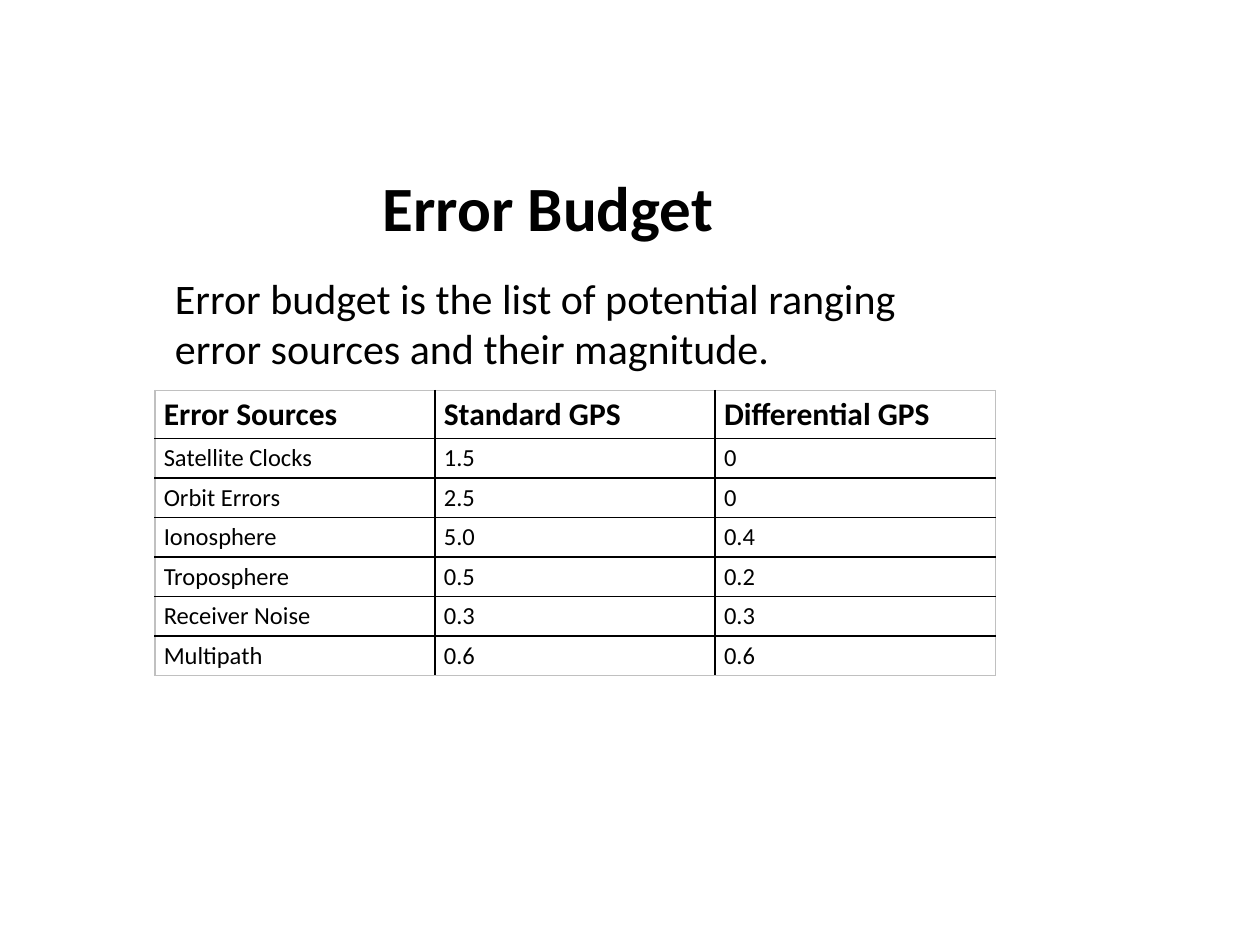
from lxml import etree
from pptx import Presentation
from pptx.dml.color import RGBColor
from pptx.enum import text
from pptx.oxml import ns
from pptx.util import Inches, Pt

BLACK = RGBColor(0, 0, 0)
GREY = RGBColor(0xC0, 0xC0, 0xC0)
WHITE = RGBColor(255, 255, 255)
FONT = "Calibri"
ROWS = [
    ("Error Sources", "Standard GPS", "Differential GPS"),
    ("Satellite Clocks", "1.5", "0"),
    ("Orbit Errors", "2.5", "0"),
    ("Ionosphere", "5.0", "0.4"),
    ("Troposphere", "0.5", "0.2"),
    ("Receiver Noise", "0.3", "0.3"),
    ("Multipath", "0.6", "0.6"),
]


def style(frame, size, bold=False):
    for run in frame.paragraphs[0].runs:
        font = run.font
        font.name, font.size, font.bold = FONT, Pt(size), bold
        font.color.rgb = BLACK


def add_text(slide, words, box, size, bold=False):
    frame = slide.shapes.add_textbox(*map(Inches, box)).text_frame
    frame.word_wrap = True
    frame.text = words
    style(frame, size, bold)
    return frame


def add_border(cell, side, color, spot):
    """Put one border line at its place in the cell properties."""
    props = cell._tc.get_or_add_tcPr()
    line = etree.Element(ns.qn("a:" + side), w=str(Pt(1)))
    fill = etree.SubElement(line, ns.qn("a:solidFill"))
    etree.SubElement(fill, ns.qn("a:srgbClr"), val=str(color))
    props.insert(spot, line)


def add_grid(slide, left, top, width, heights):
    count = len(ROWS[0])
    table = slide.shapes.add_table(
        len(ROWS), count, Inches(left), Inches(top),
        Inches(width), Inches(sum(heights))).table
    for col in table.columns:
        col.width = Inches(width / count)
    for r, row in enumerate(ROWS):
        table.rows[r].height = Inches(heights[r])
        for c, words in enumerate(row):
            cell = table.cell(r, c)
            cell.text = words
            cell.margin_left = cell.margin_right = Inches(0.07)
            cell.margin_top = cell.margin_bottom = Inches(0.04)
            cell.fill.solid()
            cell.fill.fore_color.rgb = WHITE
            style(cell.text_frame, 14 if r else 18, r == 0)
            edges = {"lnL": c == 0, "lnR": c == count - 1,
                     "lnT": r == 0, "lnB": r == len(ROWS) - 1}
            for spot, (side, outer) in enumerate(edges.items()):
                add_border(cell, side, GREY if outer else BLACK, spot)


def main():
    deck = Presentation()
    deck.slide_width, deck.slide_height = Inches(10), Inches(7.5)
    slide = deck.slides.add_slide(deck.slide_layouts[6])
    title = add_text(slide, "Error Budget", (2.94, 1.31, 5.06, 0.66), 36, True)
    title.vertical_anchor = text.MSO_ANCHOR.MIDDLE
    body = add_text(
        slide, "Error budget is the list of potential ranging error sources "
        "and their magnitude.", (1.29, 2.11, 6.5, 0.91), 24)
    body.auto_size = text.MSO_AUTO_SIZE.SHAPE_TO_FIT_TEXT
    add_grid(slide, 1.23, 3.1, 6.67, [0.38] + [0.31] * 6)
    deck.save("out.pptx")


if __name__ == "__main__":
    main()
